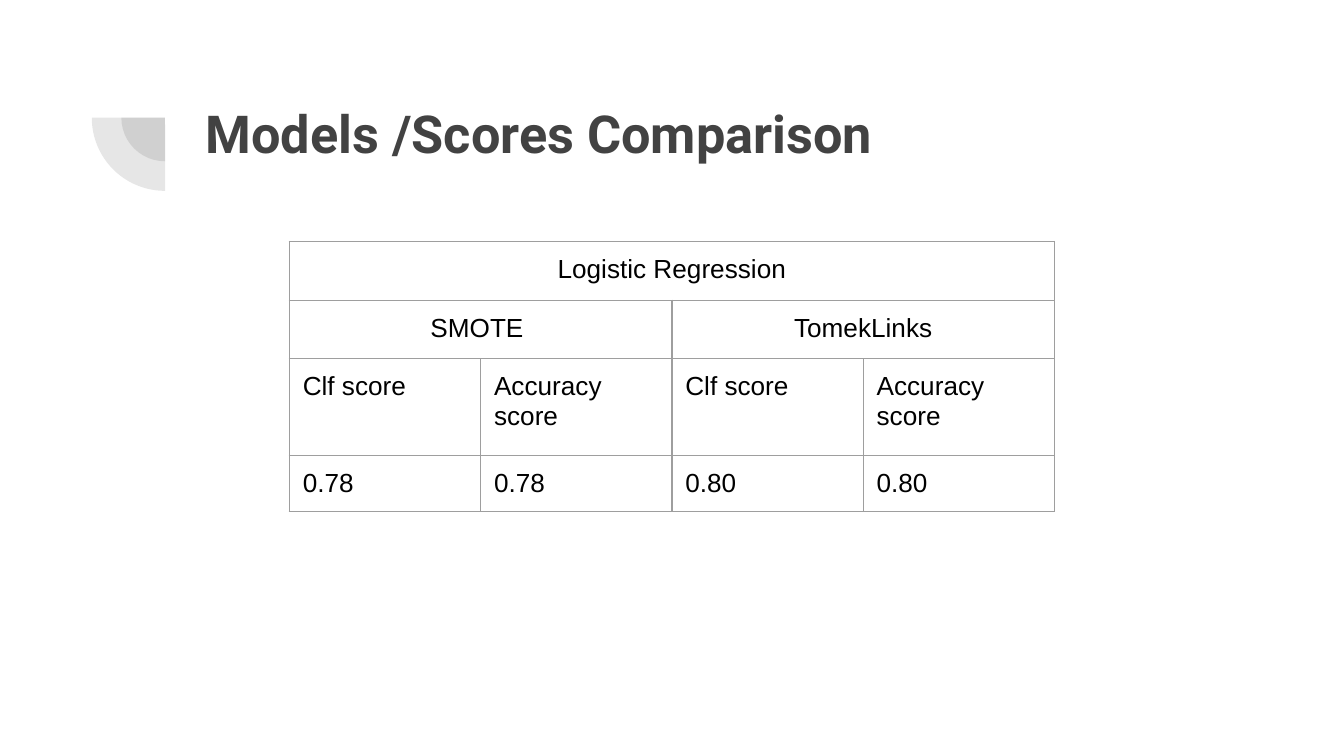
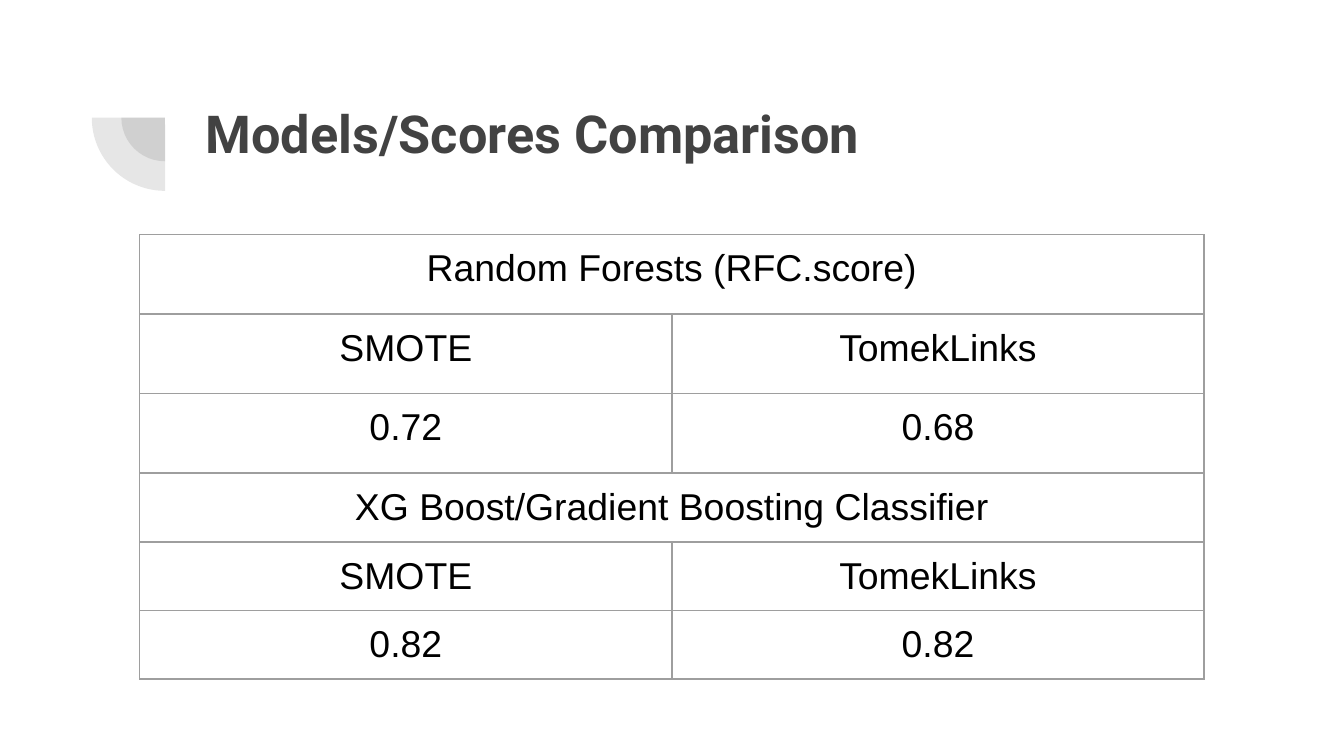
from dataclasses import dataclass

from lxml import etree
from pptx import Presentation
from pptx import util as u
from pptx.dml import color
from pptx.enum import shapes, text
from pptx.oxml import ns

DARK = color.RGBColor(0x42, 0x42, 0x42)
BLACK = color.RGBColor(0x00, 0x00, 0x00)
WHITE = color.RGBColor(0xFF, 0xFF, 0xFF)
BORDER = color.RGBColor(0x9E, 0x9E, 0x9E)
TITLE_FONT, TABLE_FONT = "Roboto", "Arial"
INSET = u.Pt(7.2)
TITLE_ONLY_LAYOUT = 5

CORNER_CENTRE = (88.4, 63)
CORNER_DIAMETERS = (46.8, 78.5)
CORNER_ALPHA = 13


@dataclass(frozen=True)
class ScoreTable:
    """A score grid; a row with fewer texts than columns spreads them evenly."""
    left: float
    top: float
    column_width: float
    row_heights: tuple[float, ...]
    rows: tuple[tuple[str, ...], ...]
    size: int
    centred_rows: int


@dataclass(frozen=True)
class ScorePage:
    title: str
    tables: tuple[ScoreTable, ...]


def classifier_table(top: float, row_height: float, model: str,
                     smote: str, tomek: str) -> ScoreTable:
    return ScoreTable(74.9, top, 285.1, (row_height,) * 3,
                      ((model,), ("SMOTE", "TomekLinks"), (smote, tomek)), 20, 3)


PAGES = (
    ScorePage("Models /Scores Comparison", (
        ScoreTable(155, 129.4, 102.5, (31.5, 31.3, 51.8, 30), (
            ("Logistic Regression",),
            ("SMOTE ", "TomekLinks"),
            ("Clf score", "Accuracy score") * 2,
            ("0.78", "0.78", "0.80", "0.80"),
        ), 14, 2),
    )),
    ScorePage("Models/Scores Comparison", (
        classifier_table(125.7, 42.6, "Random Forests (RFC.score)", "0.72", "0.68"),
        classifier_table(253.6, 36.7, "XG Boost/Gradient Boosting Classifier",
                         "0.82", "0.82"),
    )),
)


def write_text(frame, words: str, *, font: str, size: float, ink: color.RGBColor,
               bold: bool = False, align=text.PP_ALIGN.LEFT) -> None:
    para = frame.paragraphs[0]
    para.alignment = align
    span = para.add_run()
    span.text = words
    span.font.name = font
    span.font.size = u.Pt(size)
    span.font.bold = bold
    span.font.color.rgb = ink


def draw_corner(page) -> None:
    """Draw the two translucent quarter discs that share one centre."""
    centre_x, centre_y = CORNER_CENTRE
    for diameter in CORNER_DIAMETERS:
        disc = page.shapes.add_shape(
            shapes.MSO_SHAPE.PIE, u.Pt(centre_x - diameter / 2),
            u.Pt(centre_y - diameter / 2), u.Pt(diameter), u.Pt(diameter))
        disc.adjustments[0] = 107.928
        disc.adjustments[1] = 162
        disc.rotation = 270
        disc.shadow.inherit = False
        disc.line.fill.background()
        disc.fill.solid()
        disc.fill.fore_color.rgb = DARK
        for shade in disc._element.spPr.iter(ns.qn("a:srgbClr")):
            etree.SubElement(shade, ns.qn("a:alpha"), val=str(CORNER_ALPHA * 1000))


def draw_title(page, words: str) -> None:
    box = page.shapes.title
    box.left, box.top, box.width, box.height = map(u.Pt, (103, 46.8, 553.7, 78.5))
    frame = box.text_frame
    frame.word_wrap = True
    frame.auto_size = text.MSO_AUTO_SIZE.NONE
    frame.vertical_anchor = text.MSO_ANCHOR.TOP
    frame.margin_left = frame.margin_right = INSET
    frame.margin_top = frame.margin_bottom = INSET
    write_text(frame, words, font=TITLE_FONT, size=28, ink=DARK, bold=True)


def style_cell(cell) -> None:
    """Clear the fill, set the insets and outline all four sides."""
    cell.fill.background()
    cell.margin_left = cell.margin_right = INSET
    cell.margin_top = cell.margin_bottom = INSET
    properties = cell._tc.get_or_add_tcPr()
    for position, side in enumerate(("lnL", "lnR", "lnT", "lnB")):
        line = etree.Element(ns.qn(f"a:{side}"), w=str(u.Pt(0.75)))
        fill = etree.SubElement(line, ns.qn("a:solidFill"))
        etree.SubElement(fill, ns.qn("a:srgbClr"), val=str(BORDER))
        properties.insert(position, line)


def draw_table(page, scores: ScoreTable) -> None:
    columns = max(map(len, scores.rows))
    grid = page.shapes.add_table(
        len(scores.rows), columns, u.Pt(scores.left), u.Pt(scores.top),
        u.Pt(scores.column_width * columns), u.Pt(sum(scores.row_heights))).table
    grid.first_row = grid.horz_banding = False
    for column in grid.columns:
        column.width = u.Pt(scores.column_width)
    for cell in grid.iter_cells():
        style_cell(cell)
    for index, (height, words) in enumerate(zip(scores.row_heights, scores.rows)):
        grid.rows[index].height = u.Pt(height)
        reach = columns // len(words)
        centred = index < scores.centred_rows
        align = text.PP_ALIGN.CENTER if centred else text.PP_ALIGN.LEFT
        for place, label in enumerate(words):
            first = place * reach
            cell = grid.cell(index, first)
            if reach > 1:
                cell.merge(grid.cell(index, first + reach - 1))
            write_text(cell.text_frame, label, font=TABLE_FONT,
                       size=scores.size, ink=BLACK, align=align)


def main() -> None:
    deck = Presentation()
    deck.slide_width, deck.slide_height = u.Pt(720), u.Pt(405)
    background = deck.slide_master.background.fill
    background.solid()
    background.fore_color.rgb = WHITE
    for content in PAGES:
        page = deck.slides.add_slide(deck.slide_layouts[TITLE_ONLY_LAYOUT])
        draw_corner(page)
        draw_title(page, content.title)
        for scores in content.tables:
            draw_table(page, scores)
    deck.save("out.pptx")


if __name__ == "__main__":
    main()
